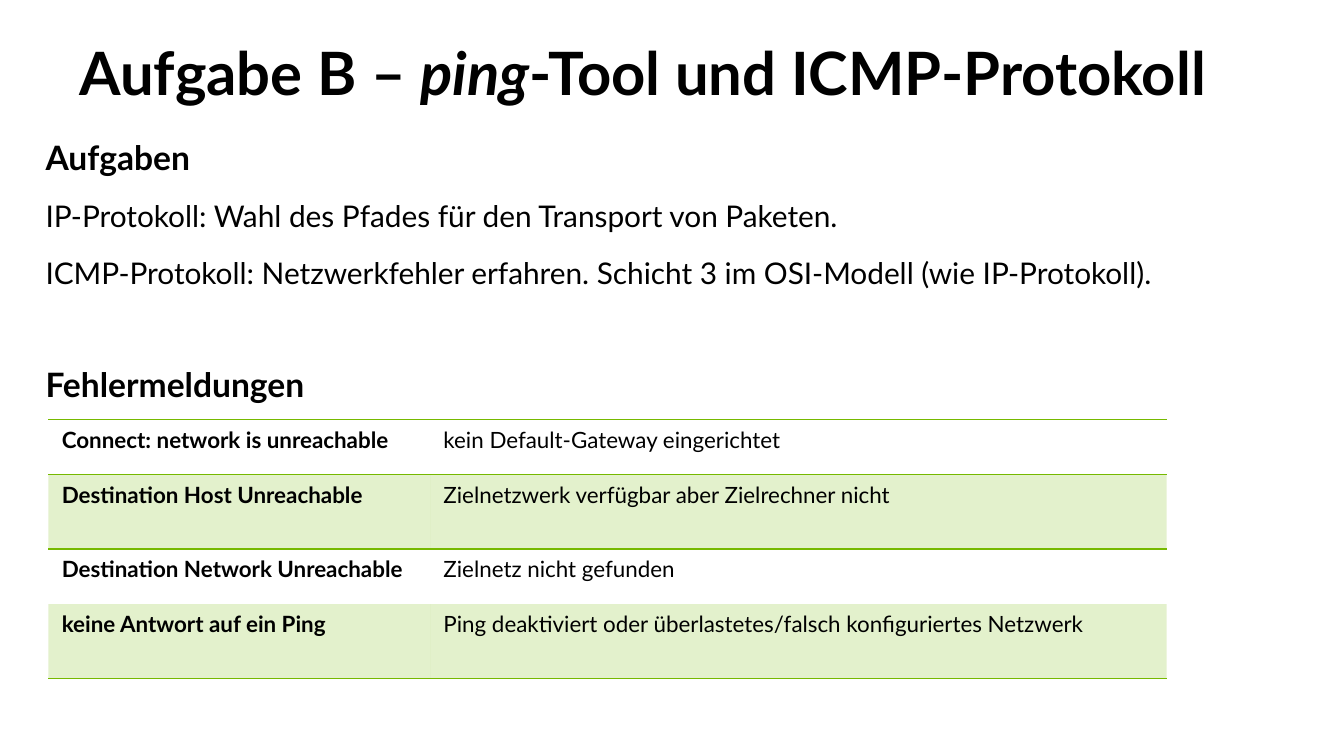
from lxml.etree import SubElement
from pptx import Presentation
from pptx.dml.color import RGBColor as RGB
from pptx.enum.text import MSO_ANCHOR as ANCHOR, MSO_AUTO_SIZE as AUTO, PP_ALIGN as ALIGN
from pptx.oxml.ns import qn
from pptx.util import Pt

PX = 4572
COLORS = {"text": "000000", "green": "76B900"}
NO_STYLE = "{2D5ABB26-0587-4C30-8999-92F81FD0307C}"


def add_run(para, text, size, bold=False, italic=False):
    run = para.add_run()
    run.text = text
    font = run.font
    font.name, font.size, font.bold, font.italic = "Lato", Pt(size), bold, italic
    font.color.rgb = RGB.from_string(COLORS["text"])


def add_border(cell, side):
    props = cell._tc.get_or_add_tcPr()
    line = SubElement(props, qn(f"a:{side}"), w=str(Pt(1)))
    fill = SubElement(line, qn("a:solidFill"))
    SubElement(fill, qn("a:srgbClr"), val=COLORS["green"])


deck = Presentation()
deck.slide_width, deck.slide_height = 2000 * PX, 1125 * PX
page = deck.slides.add_slide(deck.slide_layouts[5])

title = page.shapes.title
title.left, title.top, title.width, title.height = 118 * PX, 66 * PX, 1706 * PX, 96 * PX
frame = title.text_frame
frame.margin_left = frame.margin_top = frame.margin_right = frame.margin_bottom = 0
frame.vertical_anchor = ANCHOR.TOP
frame.auto_size = AUTO.SHAPE_TO_FIT_TEXT
para = frame.paragraphs[0]
para.alignment = ALIGN.LEFT
para.line_spacing = Pt(34)
for span, italic in [("Aufgabe B – ", False), ("ping", True), ("-Tool und ICMP-Protokoll", False)]:
    add_run(para, span, 32, True, italic)

box = page.shapes.add_textbox(48 * PX, 184 * PX, 1898 * PX, 790 * PX)
frame = box.text_frame
frame.word_wrap = True
lines = [
    ("Aufgaben", True, 0),
    ("IP-Protokoll: Wahl des Pfades für den Transport von Paketen.", False, 0),
    ("ICMP-Protokoll: Netzwerkfehler erfahren. Schicht 3 im OSI-Modell (wie IP-Protokoll).", False, 0),
    ("Fehlermeldungen", True, 30.5),
]
for index, (text, heading, gap) in enumerate(lines):
    para = frame.add_paragraph() if index else frame.paragraphs[0]
    para.alignment = ALIGN.JUSTIFY
    para.line_spacing = Pt(25)
    para.space_before, para.space_after = Pt(gap), Pt(5.5)
    add_run(para, text, 18 if heading else 16, heading)

messages = [
    ("Connect: network is unreachable", "kein Default-Gateway eingerichtet"),
    ("Destination Host Unreachable", "Zielnetzwerk verfügbar aber Zielrechner nicht"),
    ("Destination Network Unreachable", "Zielnetz nicht gefunden"),
    ("keine Antwort auf ein Ping", "Ping deaktiviert oder überlastetes/falsch konfiguriertes Netzwerk"),
]
borders = {0: ["lnT", "lnB"], 1: ["lnT"], 3: ["lnB"]}
graphic = page.shapes.add_table(len(messages), 2, 72 * PX, 624 * PX, 1664 * PX, 386 * PX)
graphic.element.find(f".//{qn('a:tableStyleId')}").text = NO_STYLE
table = graphic.table
table.first_row = table.horz_banding = False
for column, width in zip(table.columns, [568, 1096]):
    column.width = width * PX
for row_index, message in enumerate(messages):
    shaded = row_index % 2 == 1
    table.rows[row_index].height = (111 if shaded else 82) * PX
    for column_index, text in enumerate(message):
        cell = table.cell(row_index, column_index)
        add_run(cell.text_frame.paragraphs[0], text, 12, column_index == 0)
        for side in borders.get(row_index, []):
            add_border(cell, side)
        if shaded:
            cell.fill.solid()
            cell.fill.fore_color.rgb = RGB.from_string(COLORS["green"])
            color = cell._tc.tcPr.find(f"{qn('a:solidFill')}/{qn('a:srgbClr')}")
            SubElement(color, qn("a:alpha"), val="20000")
        else:
            cell.fill.background()

deck.save("out.pptx")
